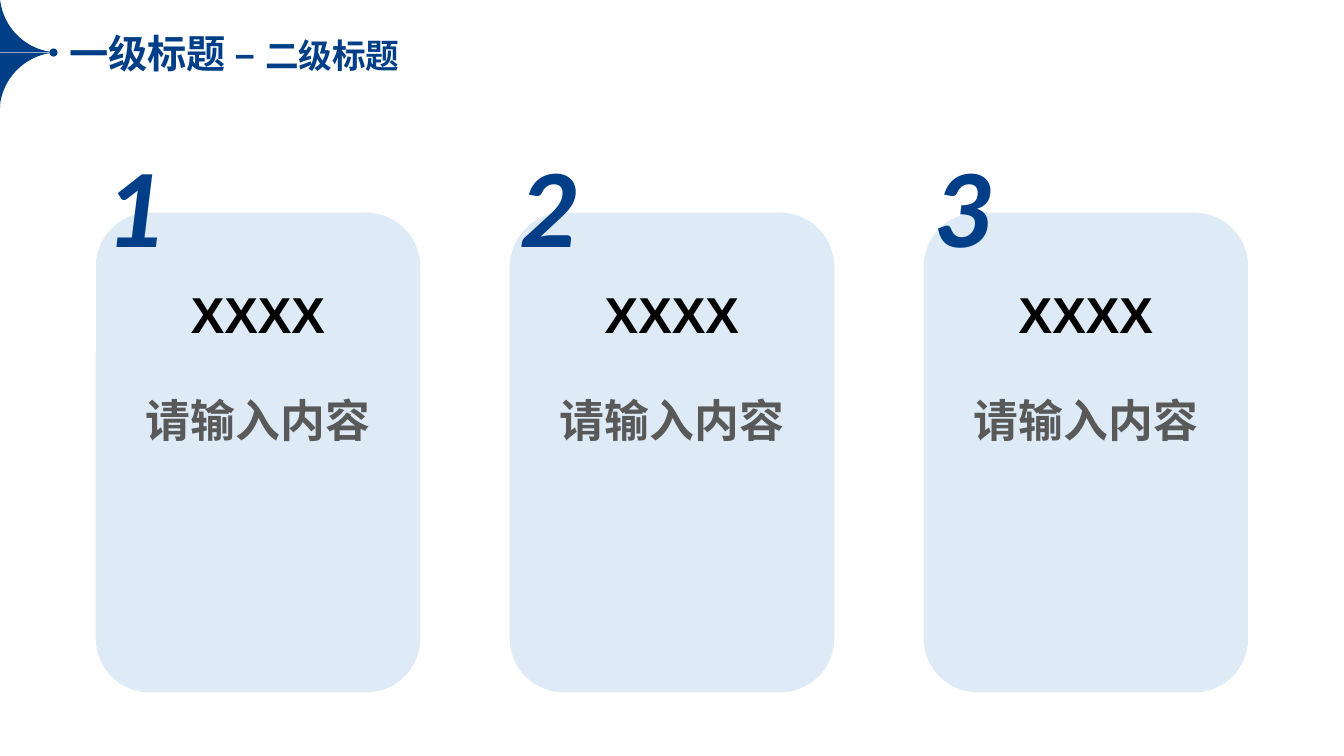
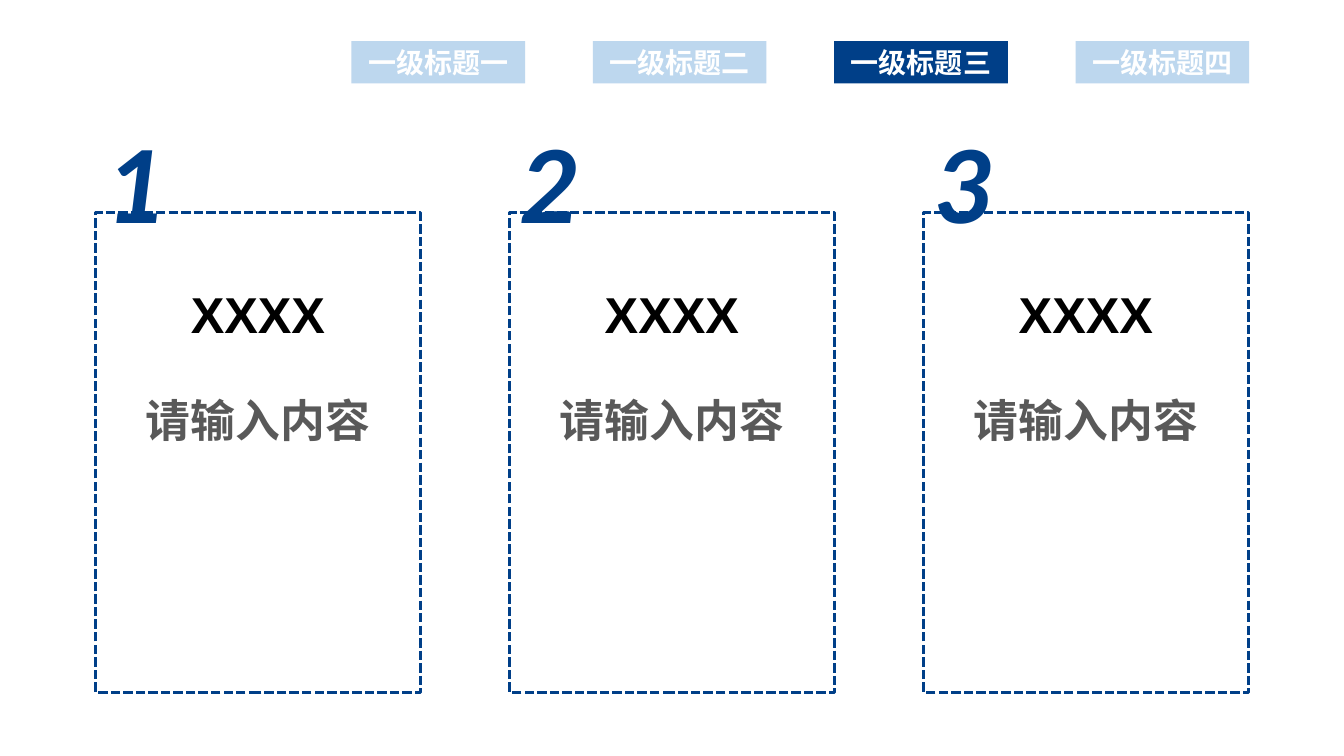
"""Build two three-card slides: one with a section title, one with navigation tabs."""
from lxml.etree import SubElement
from pptx import Presentation
from pptx.dml.color import RGBColor
from pptx.enum.dml import MSO_LINE
from pptx.enum.shapes import MSO_SHAPE
from pptx.enum.text import MSO_ANCHOR, MSO_AUTO_SIZE, PP_ALIGN
from pptx.oxml.ns import qn
from pptx.util import Pt

NAVY = RGBColor(0x00, 0x3F, 0x88)
PALE = RGBColor(0xDE, 0xEB, 0xF7)
SKY = RGBColor(0xBD, 0xD7, 0xEE)
GREY = RGBColor(0x59, 0x59, 0x59)
BLACK = RGBColor(0x00, 0x00, 0x00)
WHITE = RGBColor(0xFF, 0xFF, 0xFF)

CJK_FONT = "Noto Sans CJK SC"

CARD_LEFT, CARD_TOP = 68.4, 151.9
CARD_WIDTH, CARD_HEIGHT = 231.8, 342.7
CARD_PITCH = 295.7
CARD_TEXTS = [("XXXX", "请输入内容")] * 3

TAB_LEFT, TAB_TOP = 251.1, 29.4
TAB_WIDTH, TAB_HEIGHT = 124, 30.2
TAB_PITCH = 172.4
TABS = ["一级标题一", "一级标题二", "一级标题三", "一级标题四"]
ACTIVE_TAB = "一级标题三"


def add_span(para, text, size=20, color=NAVY, font="Arial", italic=False):
    """Append a bold run with the given format to a paragraph."""
    span = para.add_run()
    span.text = text
    span.font.size = Pt(size)
    span.font.name = font
    span.font.bold = True
    span.font.italic = italic
    span.font.color.rgb = color
    SubElement(span.font._element, qn("a:ea"), typeface=CJK_FONT)


def add_text(page, left, top, width, height, spans, align=PP_ALIGN.LEFT):
    """Add a text box holding one paragraph of (text, format) spans."""
    box = page.shapes.add_textbox(Pt(left), Pt(top), Pt(width), Pt(height))
    box.text_frame.word_wrap = True
    box.text_frame.auto_size = MSO_AUTO_SIZE.SHAPE_TO_FIT_TEXT
    para = box.text_frame.paragraphs[0]
    para.alignment = align
    for text, style in spans:
        add_span(para, text, **style)


def paint(shape, fill=None):
    """Give a shape a flat fill, or none, without outline or shadow."""
    shape.shadow.inherit = False
    shape.line.fill.background()
    if fill is None:
        shape.fill.background()
    else:
        shape.fill.solid()
        shape.fill.fore_color.rgb = fill
    return shape


def add_block(page, kind, left, top, width, height, fill=None):
    """Add a painted preset shape."""
    shape = page.shapes.add_shape(kind, Pt(left), Pt(top), Pt(width), Pt(height))
    return paint(shape, fill)


def curve_points(start, first, second, end, steps=24):
    """Return points along a cubic curve, both ends included."""
    points = []
    for step in range(steps + 1):
        t = step / steps
        weights = ((1 - t) ** 3, 3 * t * (1 - t) ** 2, 3 * t * t * (1 - t), t ** 3)
        corners = (start, first, second, end)
        points.append(tuple(sum(w * corner[axis] for w, corner in zip(weights, corners))
                            for axis in (0, 1)))
    return points


def add_outline(page, points):
    """Add a closed navy freeform through the points."""
    vertices = [(Pt(x), Pt(y)) for x, y in points]
    builder = page.shapes.build_freeform(*vertices[0], scale=1.0)
    builder.add_line_segments(vertices[1:], close=True)
    paint(builder.convert_to_shape(), NAVY)


def add_title(page, heading, subheading):
    """Add the corner ornament and the two-level title."""
    add_block(page, MSO_SHAPE.OVAL, 35.3, 34.6, 5.8, 5.8, NAVY)
    lower = curve_points((34, 38.2), (15.8, 41.8), (2.2, 56.9), (0, 74.9))
    upper = curve_points((0.7, 3.6), (4.3, 21.6), (19.4, 35.3), (37.4, 37.2))
    add_outline(page, [(0, 37.5), (37.5, 37.5), *lower, (0, 77)])
    add_outline(page, [(0, 37.2), (0, 0), *upper, (39.6, 37.2)])
    add_text(page, 42.5, 17.3, 478.8, 41, [
        (heading + " ", {"size": 28, "font": CJK_FONT}),
        ("– ", {"size": 28}),
        (subheading, {"size": 24, "font": CJK_FONT}),
    ])


def add_tabs(page):
    """Add the navigation tabs with the active one in navy."""
    for index, label in enumerate(TABS):
        fill = NAVY if label == ACTIVE_TAB else SKY
        tab = add_block(page, MSO_SHAPE.RECTANGLE, TAB_LEFT + index * TAB_PITCH,
                        TAB_TOP, TAB_WIDTH, TAB_HEIGHT, fill)
        tab.text_frame.vertical_anchor = MSO_ANCHOR.MIDDLE
        para = tab.text_frame.paragraphs[0]
        para.alignment = PP_ALIGN.CENTER
        add_span(para, label, color=WHITE)


def add_cards(page, number_top, dashed=False):
    """Add the row of numbered cards, filled or with a dashed outline."""
    kind = MSO_SHAPE.RECTANGLE if dashed else MSO_SHAPE.ROUNDED_RECTANGLE
    for index, (heading, body) in enumerate(CARD_TEXTS):
        left = CARD_LEFT + index * CARD_PITCH
        center = left + CARD_WIDTH / 2
        card = add_block(page, kind, left, CARD_TOP, CARD_WIDTH, CARD_HEIGHT,
                         None if dashed else PALE)
        if dashed:
            card.line.color.rgb = NAVY
            card.line.width = Pt(2.25)
            card.line.dash_style = MSO_LINE.SQUARE_DOT
        add_text(page, left, number_top, 69.1, 104.4,
                 [(str(index + 1), {"size": 80, "font": "Calibri", "italic": True})])
        for text, top, width, height, size, color in (
            (heading, 198.7, 134.6, 51.1, 36, BLACK),
            (body, 277.2, 177.2, 46.1, 32, GREY),
        ):
            add_text(page, center - width / 2, top, width, height,
                     [(text, {"size": size, "color": color})], PP_ALIGN.CENTER)


def main():
    """Create the deck and save it."""
    deck = Presentation()
    deck.slide_width, deck.slide_height = Pt(960), Pt(540)
    blank = deck.slide_layouts[6]

    page = deck.slides.add_slide(blank)
    add_cards(page, number_top=93.6)
    add_title(page, "一级标题", "二级标题")

    page = deck.slides.add_slide(blank)
    add_cards(page, number_top=76.3, dashed=True)
    add_tabs(page)

    deck.save("out.pptx")


if __name__ == "__main__":
    main()
